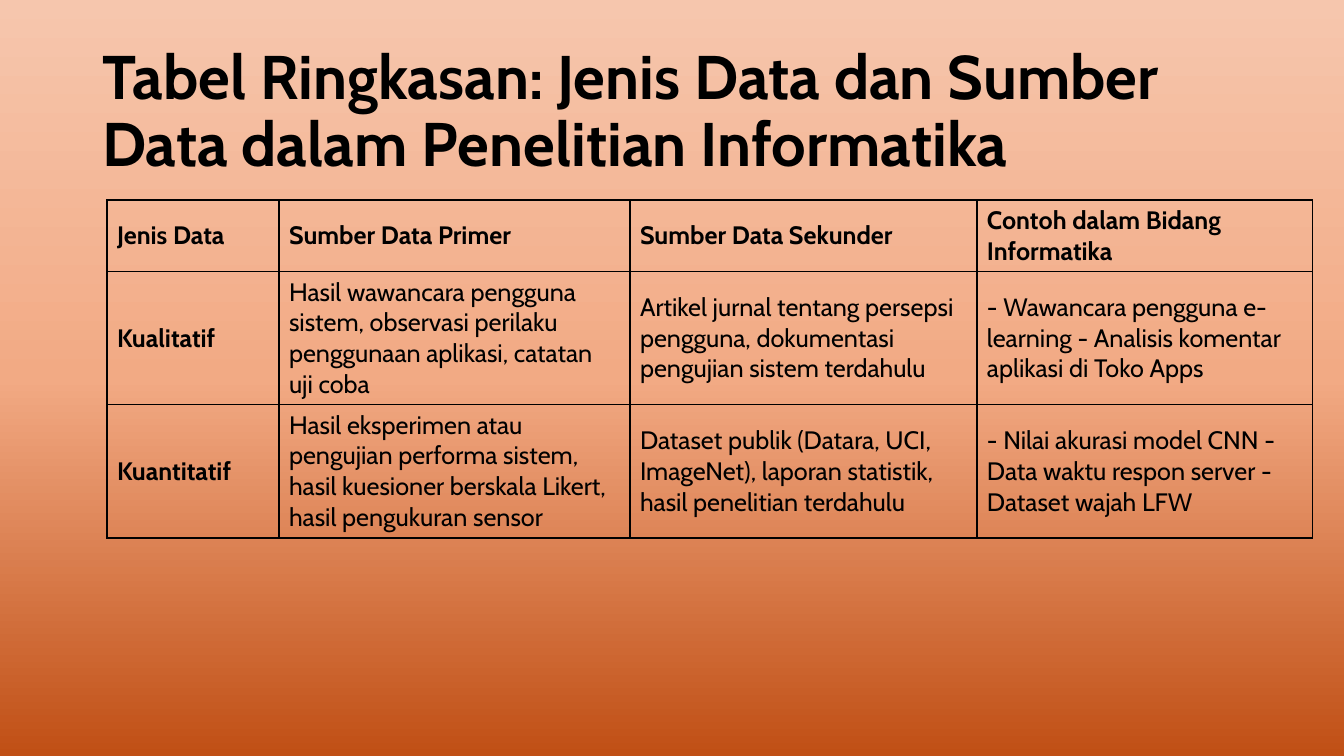
import copy

import pptx
import pptx.dml.color
import pptx.enum.text
import pptx.oxml
import pptx.oxml.ns
import pptx.util

BLACK = pptx.dml.color.RGBColor(0x00, 0x00, 0x00)
PEACH = pptx.dml.color.RGBColor(0xF6, 0xC6, 0xAD)
SALMON = pptx.dml.color.RGBColor(0xF2, 0xAA, 0x84)
RUST = pptx.dml.color.RGBColor(0xC0, 0x4F, 0x15)
FONT = "Cabin"
EMU_PER_INCH = 914400
PX_PER_INCH = 100.8

TITLE = "Tabel Ringkasan: Jenis Data dan Sumber Data dalam Penelitian Informatika"
COLUMN_WIDTHS = [172, 351, 347, 336]
ROW_HEIGHTS = [71, 133, 133]
ROWS = [
    ["Jenis Data", "Sumber Data Primer", "Sumber Data Sekunder",
     "Contoh dalam Bidang Informatika"],
    ["Kualitatif",
     "Hasil wawancara pengguna sistem, observasi perilaku penggunaan aplikasi, catatan uji coba",
     "Artikel jurnal tentang persepsi pengguna, dokumentasi pengujian sistem terdahulu",
     "- Wawancara pengguna e-learning - Analisis komentar aplikasi di Toko Apps"],
    ["Kuantitatif",
     "Hasil eksperimen atau pengujian performa sistem, hasil kuesioner berskala Likert, "
     "hasil pengukuran sensor",
     "Dataset publik (Datara, UCI, ImageNet), laporan statistik, hasil penelitian terdahulu",
     "- Nilai akurasi model CNN - Data waktu respon server - Dataset wajah LFW"],
]


def px(length):
    return pptx.util.Emu(round(length * EMU_PER_INCH / PX_PER_INCH))


def write_text(frame, text, *, size, bold=False, color=BLACK, line_spacing=None):
    frame.word_wrap = True
    para = frame.paragraphs[0]
    para.alignment = pptx.enum.text.PP_ALIGN.LEFT
    para.line_spacing = line_spacing
    span = para.add_run()
    span.text = text
    span.font.name = FONT
    span.font.size = pptx.util.Pt(size)
    span.font.bold = bold
    span.font.color.rgb = color


def paint_background(page, colors):
    fill = page.background.fill
    fill.gradient()
    fill.gradient_angle = 270
    stop_list = page.element.find(".//" + pptx.oxml.ns.qn("a:gsLst"))
    while len(stop_list) < len(colors):
        stop_list.append(copy.deepcopy(stop_list[0]))
    for index, (stop, color) in enumerate(zip(fill.gradient_stops, colors)):
        stop.position = index / (len(colors) - 1)
        stop.color.rgb = color


def add_title(page, text):
    box = page.shapes.title
    box.left, box.top, box.width, box.height = map(px, (92, 40, 1159, 146))
    box.text_frame.auto_size = pptx.enum.text.MSO_AUTO_SIZE.NONE
    box.text_frame.vertical_anchor = pptx.enum.text.MSO_ANCHOR.MIDDLE
    write_text(box.text_frame, text, size=44, bold=True, line_spacing=0.9)


def add_borders(cell, color, width):
    properties = cell._tc.get_or_add_tcPr()
    for side in ("lnL", "lnR", "lnT", "lnB"):
        properties.append(pptx.oxml.parse_xml(
            f'<a:{side} {pptx.oxml.ns.nsdecls("a")} w="{pptx.util.Pt(width)}">'
            f'<a:solidFill><a:srgbClr val="{color}"/></a:solidFill></a:{side}>'))


def add_summary_table(page):
    frame = page.shapes.add_table(
        len(ROWS), len(COLUMN_WIDTHS), px(107), px(200),
        px(sum(COLUMN_WIDTHS)), px(sum(ROW_HEIGHTS)))
    table = frame.table
    table.first_row = False
    table.horz_banding = False
    for column, width in zip(table.columns, COLUMN_WIDTHS):
        column.width = px(width)
    for row, height in zip(table.rows, ROW_HEIGHTS):
        row.height = px(height)
    for row_index, texts in enumerate(ROWS):
        for column_index, text in enumerate(texts):
            cell = table.cell(row_index, column_index)
            cell.vertical_anchor = pptx.enum.text.MSO_ANCHOR.MIDDLE
            add_borders(cell, BLACK, 1)
            cell.fill.background()
            write_text(cell.text_frame, text, size=18,
                       bold=row_index == 0 or column_index == 0)


def main():
    deck = pptx.Presentation()
    deck.slide_width, deck.slide_height = px(1344), px(756)
    page = deck.slides.add_slide(deck.slide_layouts.get_by_name("Title Only"))
    paint_background(page, [PEACH, SALMON, RUST])
    add_title(page, TITLE)
    add_summary_table(page)
    deck.save("out.pptx")


if __name__ == "__main__":
    main()
